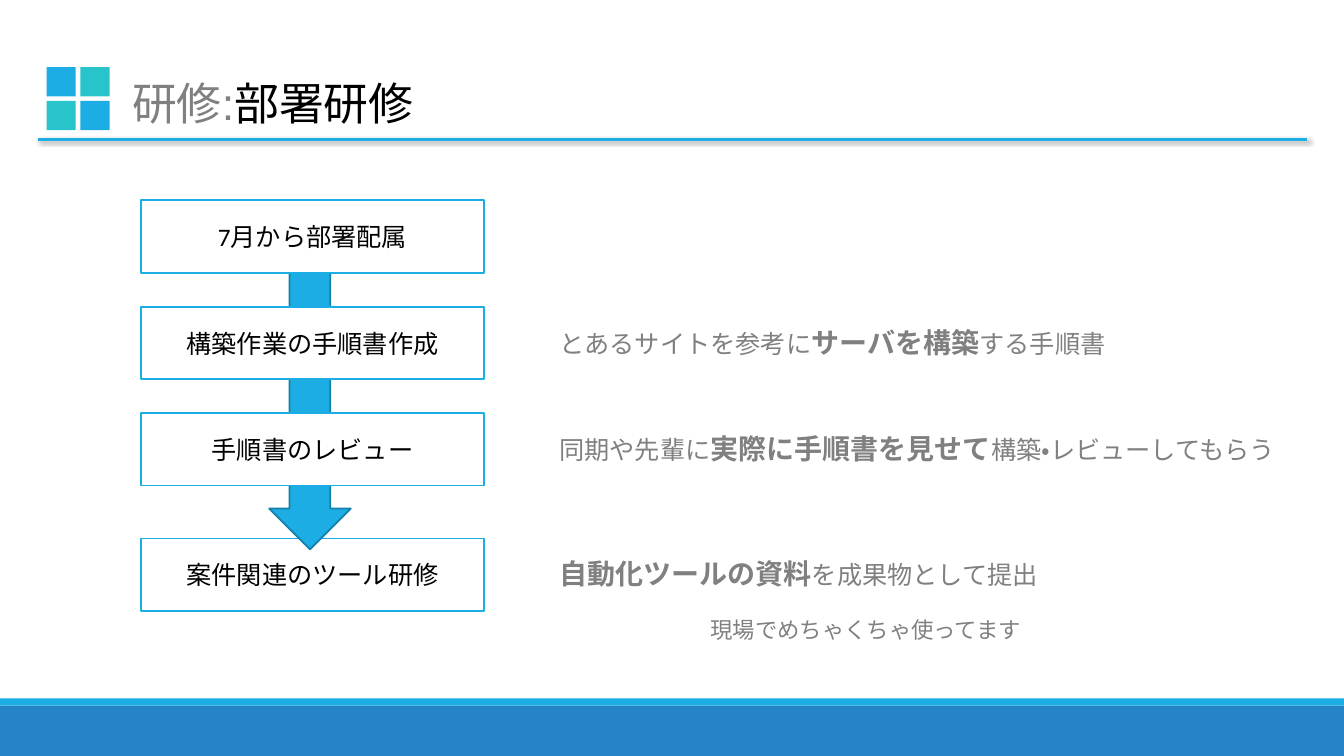
from dataclasses import dataclass

from lxml.etree import SubElement
from pptx import Presentation
from pptx.dml.color import RGBColor
from pptx.enum.lang import MSO_LANGUAGE_ID as Language
from pptx.enum.shapes import MSO_CONNECTOR as Connector, MSO_SHAPE as Shape
from pptx.enum.text import MSO_ANCHOR as Anchor, MSO_AUTO_SIZE as AutoSize, PP_ALIGN as Align
from pptx.oxml.ns import qn
from pptx.util import Inches, Pt

COLUMNS, ROWS = 160, 90


@dataclass(frozen=True)
class Theme:
    blue: str = "1CADE4"
    teal: str = "28C4CC"
    footer: str = "2683C6"
    arrow_edge: str = "1580A9"
    white: str = "FFFFFF"
    black: str = "000000"
    grey: str = "808080"
    title_font: str = "Arial"
    body_font: str = "Calibri"
    title_size: int = 32
    strong_size: int = 20
    body_size: int = 18
    remark_size: int = 16
    outline: float = 1.25
    rule: float = 2


def write(paragraph, text, *, font, size, color, bold=False):
    run = paragraph.add_run()
    run.text = text
    run.font.name = font
    run.font.size = Pt(size)
    run.font.bold = bold
    run.font.color.rgb = RGBColor.from_string(color)
    run.font.language_id = Language.JAPANESE


class SlideBuilder:
    """Places elements by columns and rows of the slide's grid."""

    def __init__(self, presentation, theme):
        self.theme = theme
        self.column = presentation.slide_width / COLUMNS
        self.row = presentation.slide_height / ROWS
        self.slide = presentation.slides.add_slide(presentation.slide_layouts[5])

    def area(self, left, top, width, height):
        return (round(left * self.column), round(top * self.row),
                round(width * self.column), round(height * self.row))

    def title(self, area, parts):
        title = self.slide.shapes.title
        title.left, title.top, title.width, title.height = self.area(*area)
        frame = title.text_frame
        frame.auto_size = AutoSize.NONE
        frame.vertical_anchor = Anchor.TOP
        paragraph = frame.paragraphs[0]
        paragraph.alignment = Align.LEFT
        for text, color in parts:
            write(paragraph, text, font=self.theme.title_font,
                  size=self.theme.title_size, color=color)

    def shape(self, kind, area, fill, edge=None):
        shape = self.slide.shapes.add_shape(kind, *self.area(*area))
        shape.shadow.inherit = False
        shape.fill.solid()
        shape.fill.fore_color.rgb = RGBColor.from_string(fill)
        if edge:
            shape.line.color.rgb = RGBColor.from_string(edge)
            shape.line.width = Pt(self.theme.outline)
        else:
            shape.line.fill.background()
        return shape

    def step(self, area, text):
        theme = self.theme
        box = self.shape(Shape.RECTANGLE, area, theme.white, theme.blue)
        box.text_frame.vertical_anchor = Anchor.MIDDLE
        paragraph = box.text_frame.paragraphs[0]
        paragraph.alignment = Align.CENTER
        write(paragraph, text, font=theme.body_font, size=theme.body_size, color=theme.black)

    def note(self, area, parts):
        """Add one line of grey text; parts are (text, size, bold)."""
        frame = self.slide.shapes.add_textbox(*self.area(*area)).text_frame
        frame.word_wrap = False
        frame.auto_size = AutoSize.SHAPE_TO_FIT_TEXT
        for text, size, bold in parts:
            write(frame.paragraphs[0], text, font=self.theme.body_font,
                  size=size, color=self.theme.grey, bold=bold)

    def shadowed_rule(self, left, right, row):
        x, y, width, _ = self.area(left, row, right - left, 0)
        rule = self.slide.shapes.add_connector(Connector.STRAIGHT, x, y, x + width, y)
        rule.line.color.rgb = RGBColor.from_string(self.theme.blue)
        rule.line.width = Pt(self.theme.rule)
        effects = SubElement(rule._element.spPr, qn("a:effectLst"))
        shadow = SubElement(effects, qn("a:outerShdw"), blurRad=str(Pt(3)),
                            dist=str(Pt(2)), dir="2700000", algn="tl", rotWithShape="0")
        color = SubElement(shadow, qn("a:srgbClr"), val=self.theme.black)
        SubElement(color, qn("a:alpha"), val="60000")


def main():
    presentation = Presentation()
    presentation.slide_width, presentation.slide_height = Inches(13.33), Inches(7.5)
    theme = Theme()
    builder = SlideBuilder(presentation, theme)

    builder.shape(Shape.RECTANGLE, (0, 84, COLUMNS, 6), theme.footer)
    builder.shape(Shape.RECTANGLE, (0, 83.16, COLUMNS, 0.84), theme.blue)

    tile, pitch = 3.48, 4.02
    for index in range(4):
        row, column = divmod(index, 2)
        fill = theme.blue if row == column else theme.teal
        builder.shape(Shape.RECTANGLE,
                      (5.55 + column * pitch, 8 + row * pitch, tile, tile), fill)
    builder.shadowed_rule(4.56, 155.64, 16.56)
    builder.title((14.52, 8.4, 141.12, 7.68),
                  [("研修:", theme.grey), ("部署研修", theme.black)])

    steps = ["7月から部署配属", "構築作業の手順書作成", "手順書のレビュー"]
    step_left, step_width, step_height = 16.8, 40.8, 8.64
    first_top, step_pitch, last_top = 23.85, 12.66, 64.1
    builder.step((step_left, last_top, step_width, step_height), "案件関連のツール研修")
    builder.shape(Shape.DOWN_ARROW, (32.04, 30.48, 9.72, 34.92), theme.blue, theme.arrow_edge)
    tops = [first_top + index * step_pitch for index in range(len(steps))]
    for top, text in zip(tops, steps):
        builder.step((step_left, top, step_width, step_height), text)

    plain, strong = (theme.body_size, False), (theme.strong_size, True)
    notes = [
        (tops[1], 68.04, [("とあるサイトを参考に", *plain), ("サーバを構築", *strong),
                          ("する手順書", *plain)]),
        (tops[2], 90.6, [("同期や先輩に", *plain), ("実際に手順書を見せて", *strong),
                         ("構築・レビューしてもらう", *plain)]),
        (last_top, 60, [("自動化ツールの資料", *strong), ("を成果物として提出", *plain)]),
    ]
    for top, width, parts in notes:
        builder.note((65.4, top + 1.6, width, 5.28), parts)
    builder.note((83.4, 72.72, 40.08, 4.44),
                 [("現場でめちゃくちゃ使ってます", theme.remark_size, False)])

    presentation.save("out.pptx")


if __name__ == "__main__":
    main()
